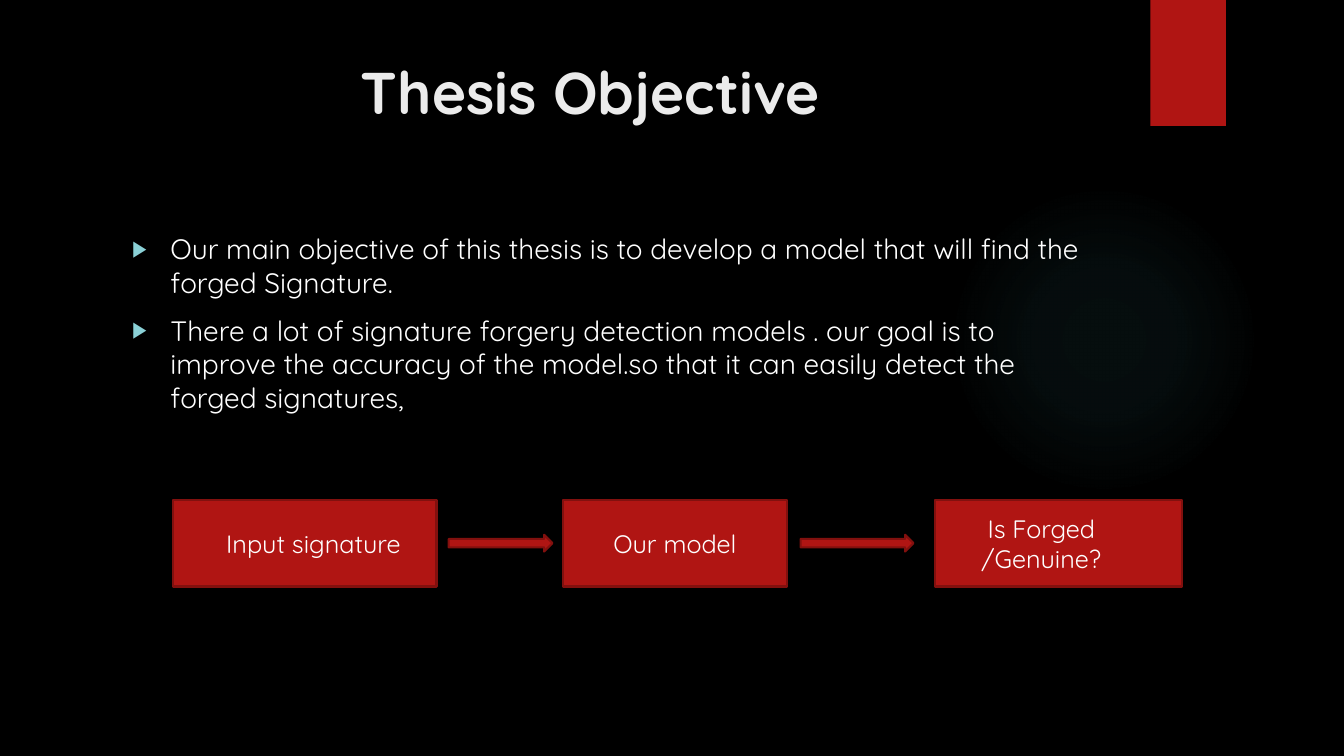
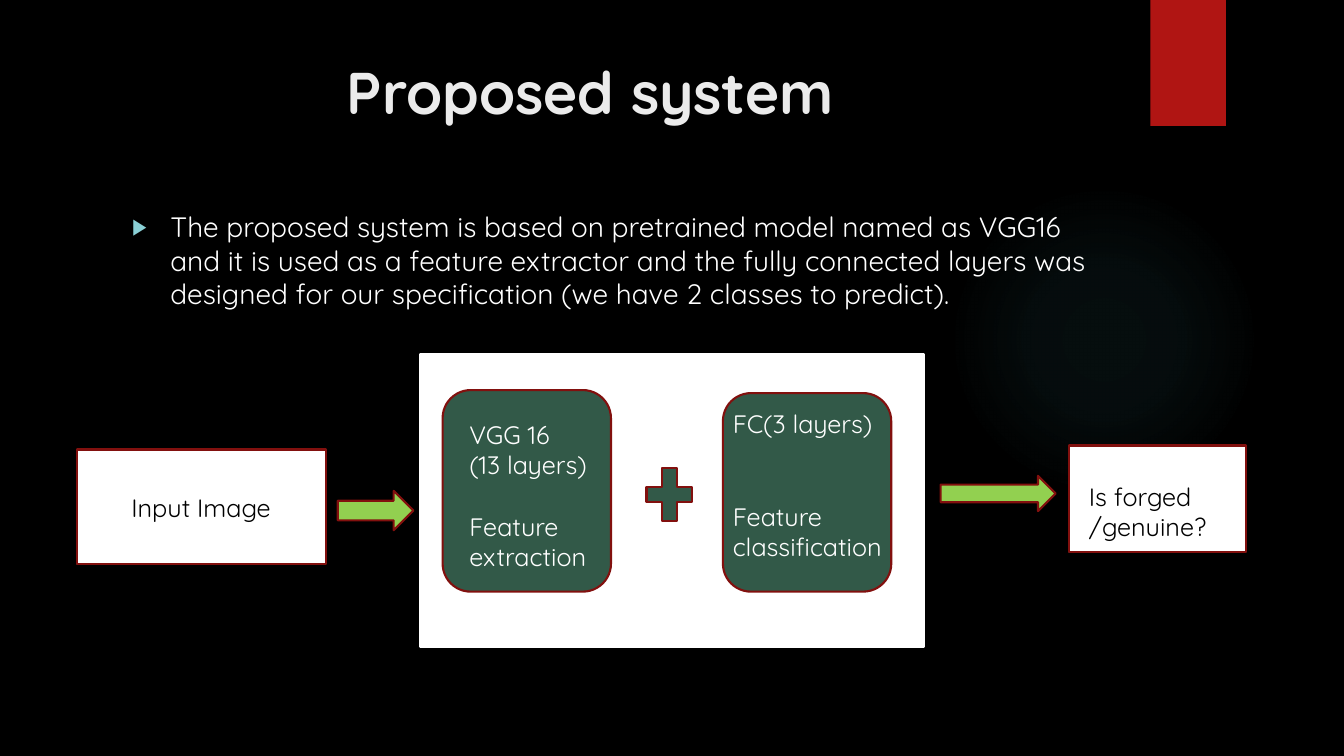
from lxml import etree
from pptx import Presentation
from pptx.dml.color import RGBColor
from pptx.enum.shapes import MSO_SHAPE
from pptx.enum.text import MSO_ANCHOR, MSO_AUTO_SIZE, PP_ALIGN
from pptx.oxml import parse_xml
from pptx.oxml.ns import nsdecls, qn
from pptx.util import Inches, Pt

RECT, ROUND, OVAL = MSO_SHAPE.RECTANGLE, MSO_SHAPE.ROUNDED_RECTANGLE, MSO_SHAPE.OVAL
ARROW, PLUS = MSO_SHAPE.RIGHT_ARROW, MSO_SHAPE.MATH_PLUS
LEFT, MID = PP_ALIGN.LEFT, PP_ALIGN.CENTER

BLACK = RGBColor(0x00, 0x00, 0x00)
WHITE = RGBColor(0xFF, 0xFF, 0xFF)
PALE = RGBColor(0xEB, 0xEB, 0xEB)
RED = RGBColor(0xB0, 0x15, 0x13)
DARK = RGBColor(0x82, 0x10, 0x0E)
GREEN = RGBColor(0x32, 0x59, 0x48)
LIME = RGBColor(0x92, 0xD0, 0x50)
AQUA = RGBColor(0x8A, 0xD0, 0xD6)
TEAL = RGBColor(0x50, 0xB9, 0xC1)
FONT = "Quicksand"

prs = Presentation()
prs.slide_width, prs.slide_height = Inches(13.33), Inches(7.5)
CELL = prs.slide_height / 45  # grid of 80 columns and 45 rows


def style(frame, size, color, align, bold=False):
    for para in frame.paragraphs:
        para.alignment = align
        for run in para.runs:
            font = run.font
            font.name, font.size, font.bold = FONT, Pt(size), bold
            font.color.rgb = color


def draw(slide, kind, spot, fill, line=None, text="", color=WHITE,
         align=MID, pad=(0.6, 0, 0.6, 0), gap=0):
    """Draw a shape; pad is left, top, right, bottom in cells."""
    shape = slide.shapes.add_shape(kind, *[round(n * CELL) for n in spot])
    shape.shadow.inherit = False
    shape.fill.solid()
    shape.fill.fore_color.rgb = fill
    if line is None:
        shape.line.fill.background()
    else:
        shape.line.color.rgb = line
        shape.line.width = Pt(1.5)
    if text:
        frame = shape.text_frame
        frame.text = text
        frame.word_wrap = True
        frame.vertical_anchor = MSO_ANCHOR.MIDDLE
        (frame.margin_left, frame.margin_top, frame.margin_right,
         frame.margin_bottom) = [round(n * CELL) for n in pad]
        style(frame, 18, color, align)
        if gap:
            frame.paragraphs[-1].space_before = Pt(gap)
    return shape


# Shared look: black ground, placeholder places
fill = prs.slide_master.background.fill
fill.solid()
fill.fore_color.rgb = BLACK
layout = prs.slide_layouts[1]
spots = [(4.26, 3, 61.74, 9.18), (7.26, 13.5, 58.68, 27.54)]
for holder, spot in zip(layout.placeholders, spots):
    holder.left, holder.top, holder.width, holder.height = [
        round(n * CELL) for n in spot]

# Titles and lists
pages = [
    ("Thesis Objective", 13.5, [
        "Our main objective of this thesis is to develop a model that will "
        "find the forged Signature.",
        "There a lot of signature forgery detection models . our goal is to "
        "improve the accuracy of the model.so that it can easily detect the "
        "forged signatures,"]),
    ("Proposed system", 12.18, [
        "The proposed system is based on pretrained model named as VGG16 and "
        "it is used as a feature extractor and the fully connected layers was "
        "designed for our specification (we have 2 classes to predict)."]),
]
slides = []
for head, top, items in pages:
    slide = prs.slides.add_slide(layout)
    slides.append(slide)
    title, body = slide.placeholders
    title.text_frame.text = head
    body.text_frame.text = "\n".join(items)
    left, width, height = body.left, body.width, body.height
    body.left, body.top = left, round(top * CELL)
    body.width, body.height = width, height
    for holder in (title, body):
        holder.text_frame.vertical_anchor = MSO_ANCHOR.TOP
        holder.text_frame.auto_size = MSO_AUTO_SIZE.NONE
    style(title.text_frame, 42, PALE, MID, True)
    style(body.text_frame, 20, WHITE, LEFT)
    for rank, para in enumerate(body.text_frame.paragraphs):
        para.space_before = Pt(10 if rank else 0)
        props = para._p.get_or_add_pPr()
        props.set("marL", str(Inches(0.38)))
        props.set("indent", str(-Inches(0.38)))
        tint = etree.SubElement(props, qn("a:buClr"))
        etree.SubElement(tint, qn("a:srgbClr"), val=str(AQUA))
        etree.SubElement(props, qn("a:buSzPct"), val="80000")
        etree.SubElement(props, qn("a:buChar"), char="▶")

# Glow and red tab, moved to the layout so that both slides show them
first, second = slides
glow = draw(first, OVAL, (56.46, 10.98, 18.48, 18.48), TEAL)
stops = "".join(
    f'<a:gs pos="{at}000"><a:srgbClr val="{TEAL}"><a:alpha val="{alpha}000"/>'
    "</a:srgbClr></a:gs>" for at, alpha in ((0, 7), (36, 6), (69, 0)))
solid = glow._element.spPr.find(qn("a:solidFill"))
solid.getparent().replace(solid, parse_xml(
    f'<a:gradFill {nsdecls("a")}><a:gsLst>{stops}</a:gsLst>'
    '<a:path path="circle"><a:fillToRect l="50000" t="50000" r="50000" '
    'b="50000"/></a:path></a:gradFill>'))
tab = draw(first, RECT, (68.46, 0, 4.5, 7.5), RED)
for rank, shape in enumerate((glow, tab)):
    layout.shapes._spTree.insert(2 + rank, shape._element)

# Objective: three steps
steps = [
    (10.32, 15.66, "Input signature", (1, 0, 0, 0)),
    (33.48, 13.38, "Our model", (0.6, 0, 0.6, 0)),
    (55.62, 14.7, "Is Forged /Genuine?", (0.6, 0, 2.6, 0)),
]
for left, width, text, pad in steps:
    draw(first, RECT, (left, 29.76, width, 5.16), RED, DARK, text, pad=pad)
for left, width in ((26.7, 6.18), (47.64, 6.72)):
    draw(first, ARROW, (left, 31.83, width, 1), RED, DARK)

# System: input, network, result
draw(second, RECT, (4.56, 26.76, 14.82, 6.84), WHITE, DARK, "Input Image", BLACK)
draw(second, RECT, (25.02, 21.06, 29.94, 17.46), WHITE, WHITE)
draw(second, RECT, (63.6, 26.52, 10.56, 6.36), WHITE, DARK,
     "Is forged /genuine?", BLACK, LEFT, (1.2, 1.5, 0, 0))
draw(second, ROUND, (26.34, 23.22, 10.02, 12), GREEN, DARK,
     "VGG 16\n(13 layers)\nFeature extraction", WHITE, LEFT,
     (1.1, 0.5, 0, 0), 22.5)
draw(second, ROUND, (43.02, 23.4, 10.02, 11.82), GREEN, DARK,
     "FC(3 layers)\nFeature classification", WHITE, LEFT,
     (0.1, 0, 0, 0.9), 45)
draw(second, PLUS, (37.98, 27.3, 3.72, 4.26), GREEN, DARK)
for spot in ((20.1, 29.22, 4.5, 2.34), (55.98, 28.32, 6.84, 2.1)):
    draw(second, ARROW, spot, LIME, DARK)

prs.save("out.pptx")
